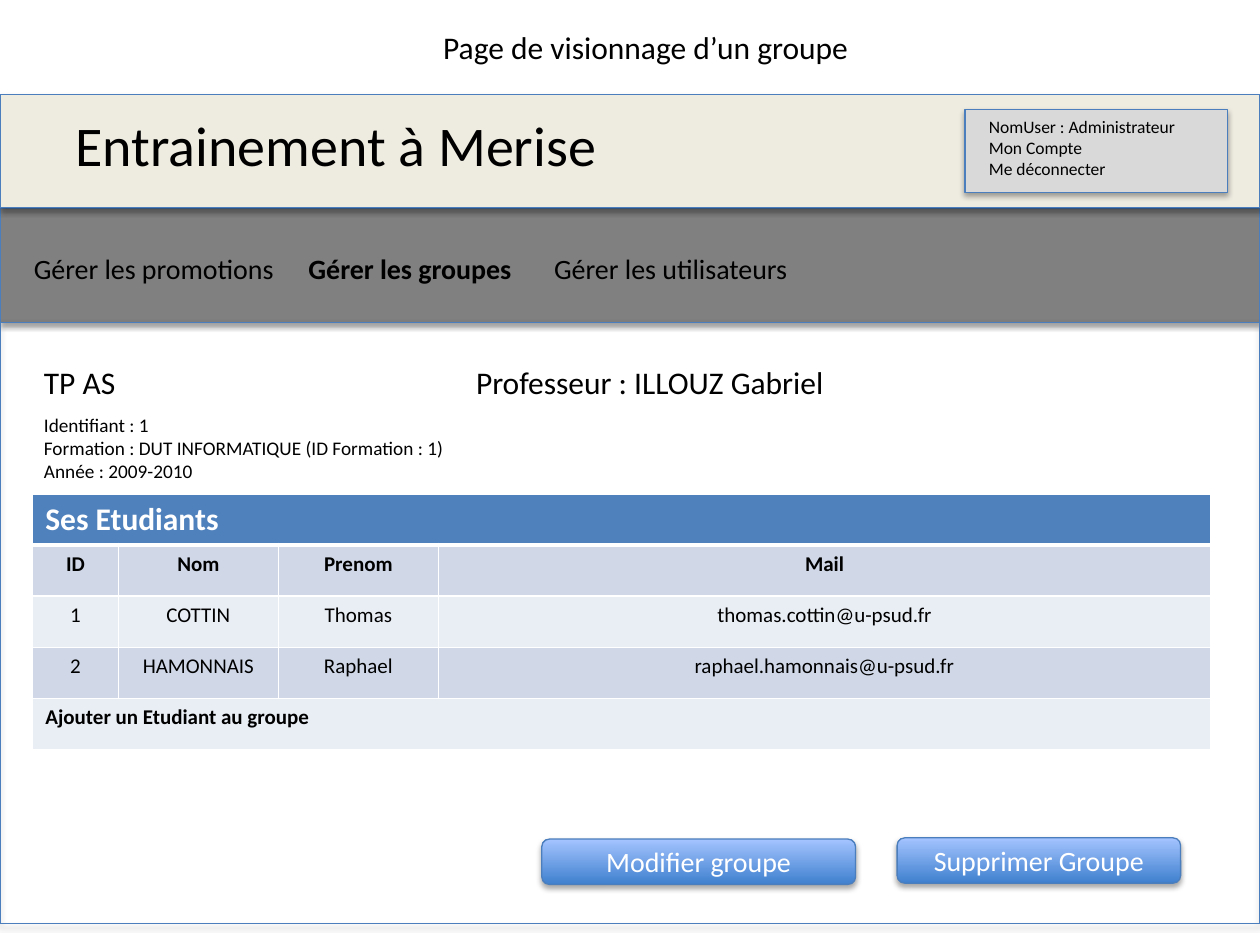
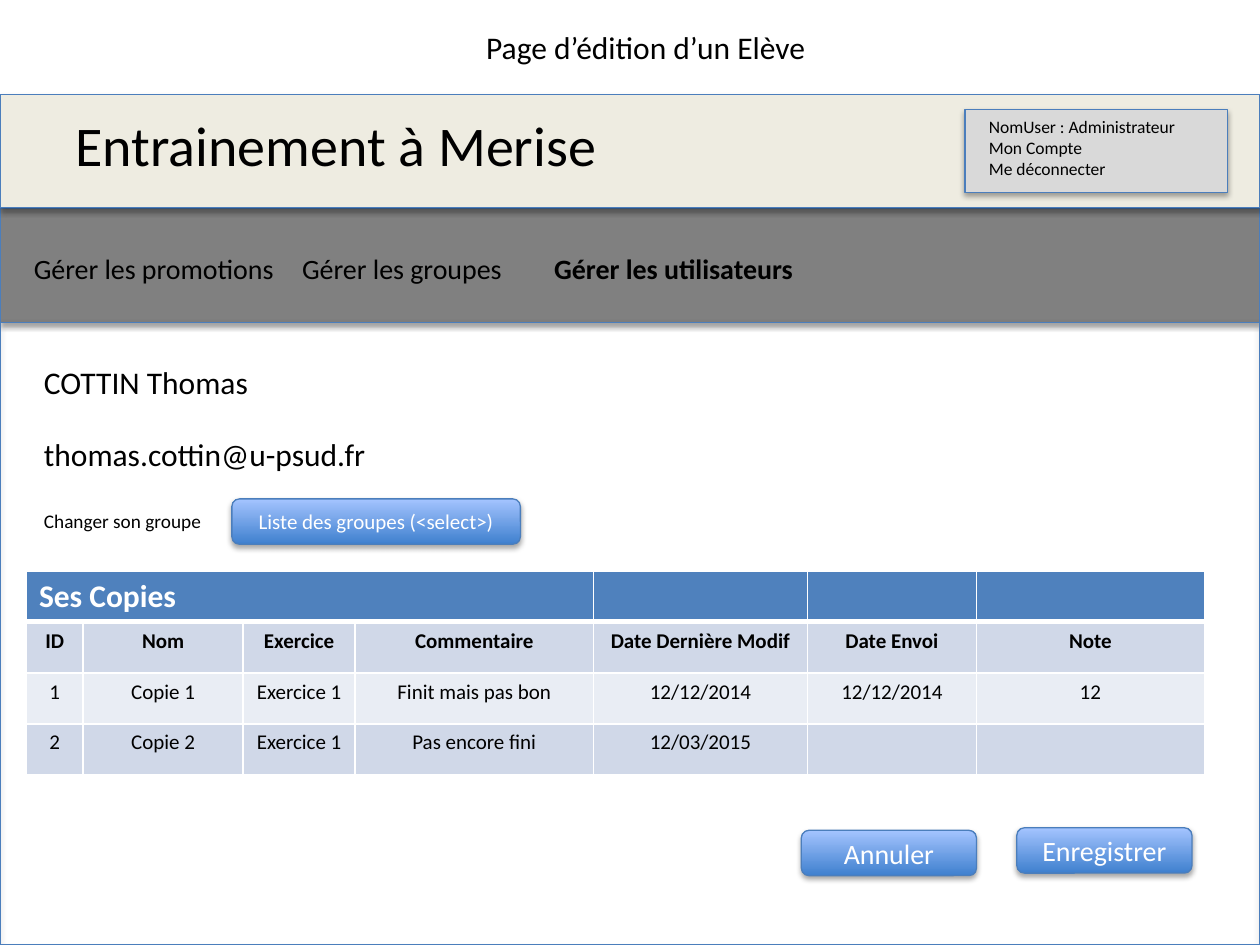
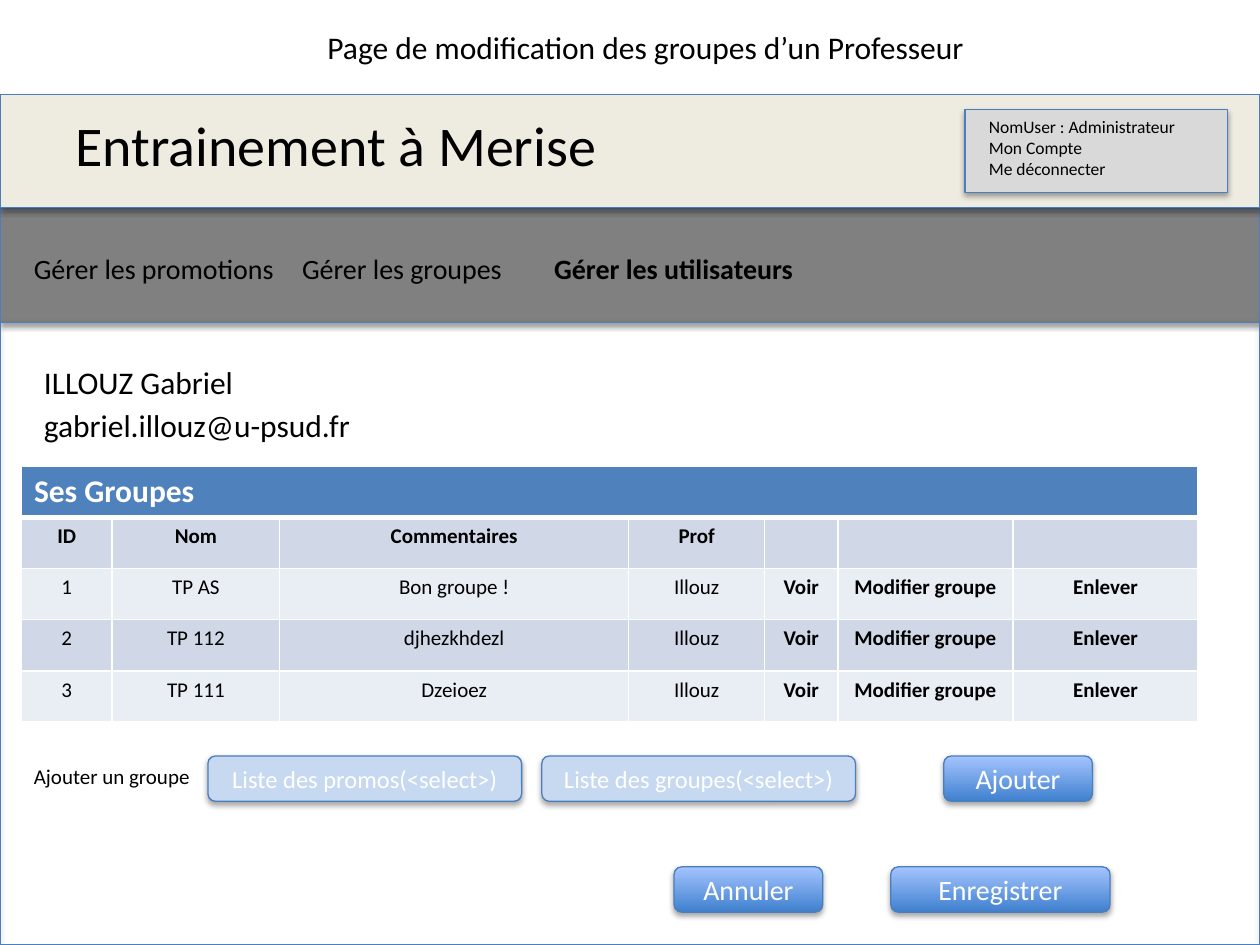
from collections import namedtuple

from lxml import etree
from pptx import Presentation
from pptx.dml.color import RGBColor
from pptx.enum.shapes import MSO_SHAPE
from pptx.enum.text import MSO_ANCHOR, MSO_AUTO_SIZE, PP_ALIGN
from pptx.oxml import parse_xml
from pptx.oxml.ns import nsdecls, qn
from pptx.util import Inches, Pt

RECTANGLE = MSO_SHAPE.RECTANGLE
ROUNDED = MSO_SHAPE.ROUNDED_RECTANGLE
LEFT, CENTER = PP_ALIGN.LEFT, PP_ALIGN.CENTER
TOP, MIDDLE = MSO_ANCHOR.TOP, MSO_ANCHOR.MIDDLE
FIT_SHAPE = MSO_AUTO_SIZE.SHAPE_TO_FIT_TEXT

FONT = "Calibri"
COLORS = {
    "text": "000000",
    "white": "FFFFFF",
    "line": "4B7EBC",
    "header": "EEECE1",
    "navigation": "808080",
    "account": "D9D9D9",
    "button_dark": "3F80CE",
    "button_light": "A4C4FF",
    "select": "C6D9F1",
    "table_title": "4F81BD",
    "band_dark": "D0D8E8",
    "band_light": "E9EDF4",
}

Box = namedtuple("Box", "left top width height")
PAGE_TITLE = Box(1.92, 0.17, 6.41, 0.4)
HEADER = Box(0, 0.75, 10, 0.9)
NAVIGATION = Box(0, 1.65, 10, 0.91)
BODY = Box(0, 2.56, 10, 4.94)

PROMOTIONS = "Gérer les promotions"
GROUPS = "Gérer les groupes"
USERS = "Gérer les utilisateurs"


def color(name):
    return RGBColor.from_string(COLORS[name])


def inside(box, left, top, width, height):
    return Box(box.left + left, box.top + top, width, height)


def inches(box):
    return [Inches(length) for length in box]


def format_text(text_frame, size, color_name="text", bold=False, align=LEFT):
    for paragraph in text_frame.paragraphs:
        paragraph.alignment = align
        for run in paragraph.runs:
            run.font.name = FONT
            run.font.size = Pt(size)
            run.font.bold = bold
            run.font.color.rgb = color(color_name)


def add_text(slide, box, text, size, bold=False, wrap=True):
    text_frame = slide.shapes.add_textbox(*inches(box)).text_frame
    text_frame.word_wrap = wrap
    text_frame.auto_size = FIT_SHAPE
    text_frame.text = text
    format_text(text_frame, size, bold=bold)


def add_shadow(shape):
    shape.shadow.inherit = False
    effects = shape._element.spPr.find(qn("a:effectLst"))
    effects.append(parse_xml(
        f'<a:outerShdw {nsdecls("a")} blurRad="40000" dist="23000" dir="5400000" rotWithShape="0">'
        f'<a:srgbClr val="{COLORS["text"]}"><a:alpha val="35000"/></a:srgbClr></a:outerShdw>'))


def add_panel(slide, box, fill=None, kind=RECTANGLE):
    shape = slide.shapes.add_shape(kind, *inches(box))
    if fill:
        shape.fill.solid()
        shape.fill.fore_color.rgb = color(fill)
    else:
        shape.fill.background()
    shape.line.color.rgb = color("line")
    shape.line.width = Pt(0.75)
    add_shadow(shape)
    return shape


def add_button(slide, box, label, size=16, fill=None):
    shape = add_panel(slide, box, fill, ROUNDED)
    if not fill:
        shape.fill.gradient()
        shape.fill.gradient_angle = 90
        for stop, name in zip(shape.fill.gradient_stops, ("button_dark", "button_light")):
            stop.color.rgb = color(name)
    text_frame = shape.text_frame
    text_frame.text = label
    text_frame.vertical_anchor = MIDDLE
    format_text(text_frame, size, "white", align=CENTER)


def set_border(cell, side, width):
    properties = cell._tc.get_or_add_tcPr()
    line = etree.SubElement(properties, qn(f"a:ln{side}"), w=str(Pt(width)))
    fill = etree.SubElement(line, qn("a:solidFill"))
    etree.SubElement(fill, qn("a:srgbClr"), val=COLORS["white"])


def format_cell(cell, text, fill, size, color_name="text", bold=False, align=CENTER, top=1, bottom=1):
    for side, width in (("L", 1), ("R", 1), ("T", top), ("B", bottom)):
        set_border(cell, side, width)
    cell.fill.solid()
    cell.fill.fore_color.rgb = color(fill)
    cell.text_frame.text = text
    format_text(cell.text_frame, size, color_name, bold, align)


def add_list(slide, box, title, title_span, widths, rows, bold_from=None, footer=None):
    count = len(widths)
    body_rows = rows + ([[footer] + [""] * (count - 1)] if footer else [])
    row_count = len(body_rows) + 1
    table = slide.shapes.add_table(row_count, count, *inches(box)).table
    for column, width in zip(table.columns, widths):
        column.width = Inches(width)
    for row in table.rows:
        row.height = Inches(box.height / row_count)
    for index in range(count):
        format_cell(table.cell(0, index), "" if index else title, "table_title", 18,
                    "white", True, LEFT, bottom=3)
    for row_index, values in enumerate(body_rows, 1):
        is_footer = footer is not None and row_index == row_count - 1
        for index, value in enumerate(values):
            is_action = bold_from is not None and index >= bold_from
            format_cell(table.cell(row_index, index), value,
                        "band_dark" if row_index % 2 else "band_light", 12,
                        bold=row_index == 1 or is_footer or is_action,
                        align=LEFT if is_footer else CENTER,
                        top=3 if row_index == 1 else 1)
    table.cell(0, 0).merge(table.cell(0, title_span - 1))
    if footer:
        table.cell(row_count - 1, 0).merge(table.cell(row_count - 1, count - 1))


def add_page_title(slide, box, text):
    title = slide.shapes.title
    title.left, title.top, title.width, title.height = inches(box)
    title.text_frame.text = text
    title.text_frame.word_wrap = True
    title.text_frame.auto_size = FIT_SHAPE
    title.text_frame.vertical_anchor = TOP
    format_text(title.text_frame, 18, align=CENTER)


def add_header(slide, box):
    add_panel(slide, box, "header")
    add_text(slide, inside(box, 0.5, 0.08, 4.42, 0.64), "Entrainement à Merise", 32)
    add_panel(slide, inside(box, 7.66, 0.12, 2.08, 0.66), "account")
    add_text(slide, inside(box, 7.75, 0.12, 1.71, 0.61),
             "NomUser : Administrateur\nMon Compte\nMe déconnecter", 10)


def add_navigation(slide, box, active):
    add_panel(slide, box, "navigation")
    groups_left = 2.35 if active == GROUPS else 2.3
    for label, left, width in ((PROMOTIONS, 0.17, 2.14), (GROUPS, groups_left, 1.83), (USERS, 4.3, 2.23)):
        add_text(slide, inside(box, left, 0.3, width, 0.37), label, 16, bold=label == active)


def add_page(presentation, title, active, body):
    slide = presentation.slides.add_slide(presentation.slide_layouts.get_by_name("Title Only"))
    add_page_title(slide, PAGE_TITLE, title)
    add_navigation(slide, NAVIGATION, active)
    add_header(slide, HEADER)
    add_panel(slide, body)
    return slide


def add_group_view(slide, box):
    add_text(slide, inside(box, 0.25, 0.27, 2.72, 0.4), "TP AS", 18)
    add_text(slide, inside(box, 3.68, 0.27, 3.44, 0.4), "Professeur : ILLOUZ Gabriel", 18)
    add_text(slide, inside(box, 0.25, 0.67, 3.58, 0.66),
             "Identifiant : 1\nFormation : DUT INFORMATIQUE (ID Formation : 1)\nAnnée : 2009-2010", 11)
    add_list(slide, inside(box, 0.26, 1.36, 9.35, 2.03), "Ses Etudiants", 4,
             [0.68, 1.27, 1.27, 6.13],
             [["ID", "Nom", "Prenom", "Mail"],
              ["1", "COTTIN", "Thomas", "thomas.cottin@u-psud.fr"],
              ["2", "HAMONNAIS", "Raphael", "raphael.hamonnais@u-psud.fr"]],
             footer="Ajouter un Etudiant au groupe")
    add_button(slide, inside(box, 4.3, 4.1, 2.49, 0.36), "Modifier groupe")
    add_button(slide, inside(box, 7.12, 4.09, 2.25, 0.36), "Supprimer Groupe")


def add_student_form(slide, box):
    add_text(slide, inside(box, 0.25, 0.27, 2.72, 0.4), "COTTIN Thomas", 18)
    add_text(slide, inside(box, 0.25, 0.84, 3.43, 0.4), "thomas.cottin@u-psud.fr", 18)
    add_text(slide, inside(box, 0.25, 1.43, 1.46, 0.29), "Changer son groupe", 11, wrap=False)
    add_button(slide, inside(box, 1.84, 1.4, 2.29, 0.36), "Liste des groupes (<select>)", 12)
    add_list(slide, inside(box, 0.21, 1.97, 9.35, 1.62), "Ses Copies", 4,
             [0.45, 1.27, 0.89, 1.89, 1.7, 1.34, 1.81],
             [["ID", "Nom", "Exercice", "Commentaire", "Date Dernière Modif", "Date Envoi", "Note"],
              ["1", "Copie 1", "Exercice 1", "Finit mais pas bon", "12/12/2014", "12/12/2014", "12"],
              ["2", "Copie 2", "Exercice 1", "Pas encore fini", "12/03/2015", "", ""]])
    add_button(slide, inside(box, 6.36, 4.03, 1.39, 0.36), "Annuler")
    add_button(slide, inside(box, 8.07, 4.01, 1.39, 0.36), "Enregistrer")


def add_teacher_form(slide, box):
    add_text(slide, inside(box, 0.25, 0.27, 2.72, 0.4), "ILLOUZ Gabriel", 18)
    add_text(slide, inside(box, 0.25, 0.61, 3.43, 0.4), "gabriel.illouz@u-psud.fr", 18)
    actions = ["Illouz", "Voir", "Modifier groupe", "Enlever"]
    groups = (("TP AS", "Bon groupe !"), ("TP 112", "djhezkhdezl"), ("TP 111", "Dzeioez"))
    add_list(slide, inside(box, 0.17, 1.14, 9.35, 2.03), "Ses Groupes", 7,
             [0.72, 1.33, 2.77, 1.08, 0.58, 1.39, 1.47],
             [["ID", "Nom", "Commentaires", "Prof", "", "", ""]]
             + [[str(number), *group, *actions] for number, group in enumerate(groups, 1)],
             bold_from=4)
    add_text(slide, inside(box, 0.17, 3.45, 1.55, 0.3), "Ajouter un groupe", 12)
    for left, label in ((1.65, "Liste des promos(<select>)"), (4.3, "Liste des groupes(<select>)")):
        add_button(slide, inside(box, left, 3.44, 2.49, 0.36), label, 14, "select")
    add_button(slide, inside(box, 7.49, 3.44, 1.18, 0.36), "Ajouter")
    add_button(slide, inside(box, 5.35, 4.32, 1.18, 0.36), "Annuler")
    add_button(slide, inside(box, 7.07, 4.32, 1.74, 0.36), "Enregistrer")


presentation = Presentation()
presentation.slide_width = Inches(10)
presentation.slide_height = Inches(7.5)

for title, active, body, add_content in (
    ("Page de visionnage d’un groupe", GROUPS, BODY._replace(height=4.77), add_group_view),
    ("Page d’édition d’un Elève", USERS, BODY, add_student_form),
    ("Page de modification des groupes d’un Professeur", USERS, BODY, add_teacher_form),
):
    add_content(add_page(presentation, title, active, body), body)

presentation.save("out.pptx")
